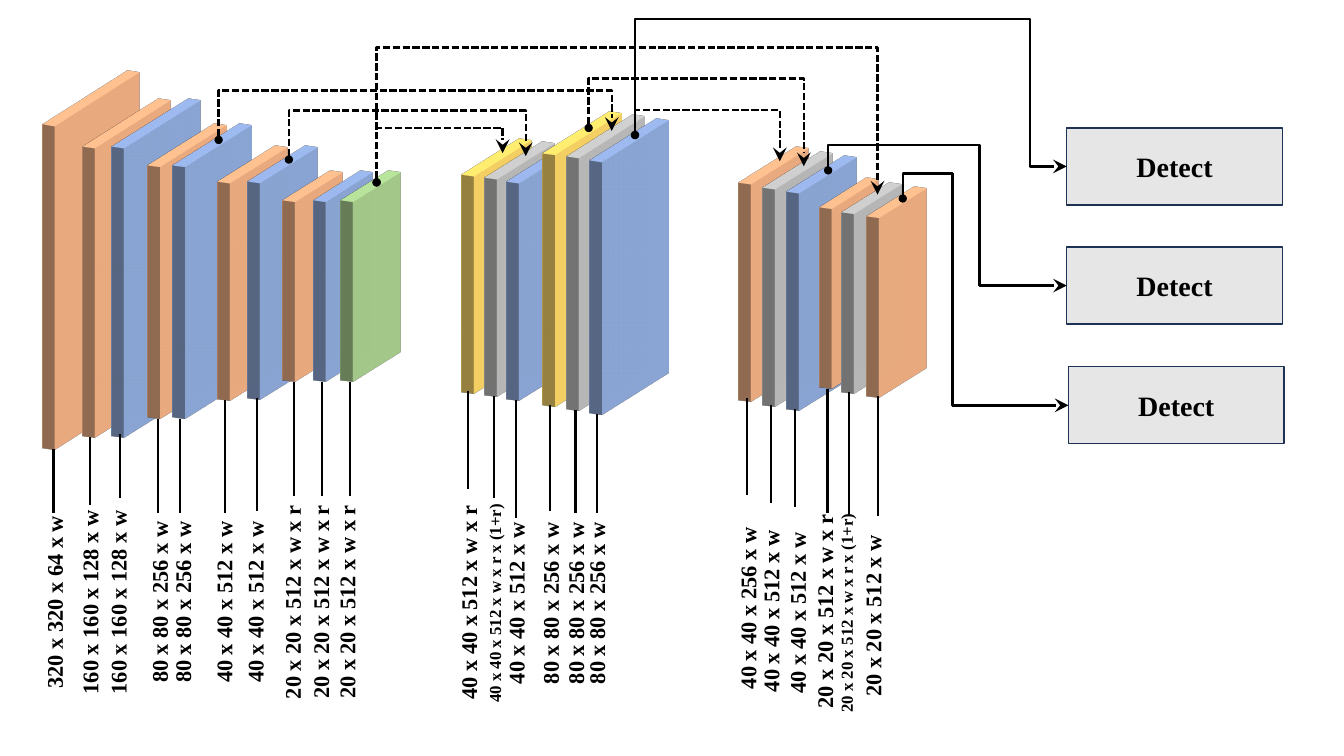
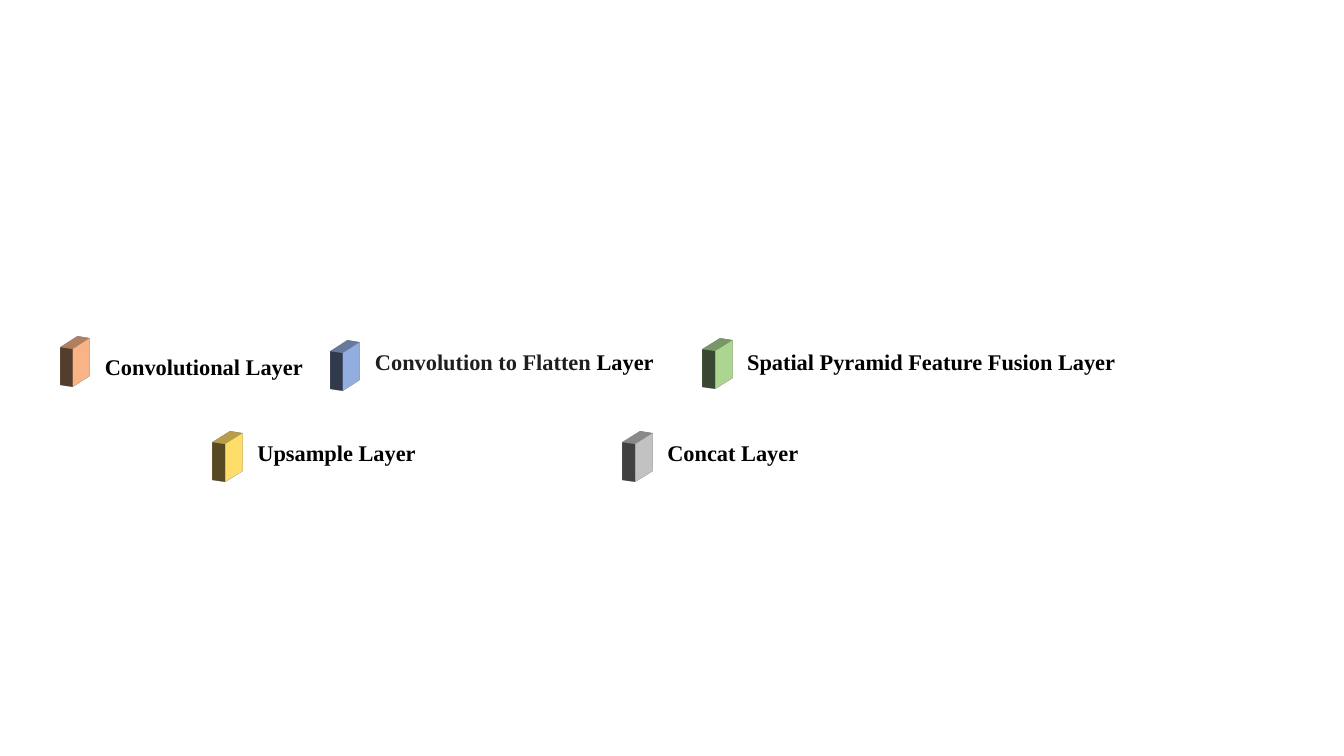
from lxml import etree
from pptx import Presentation
from pptx.dml.color import RGBColor
from pptx.enum import dml, shapes, text
from pptx.oxml.ns import qn
from pptx.util import Pt

FONT = "Times New Roman"
BLACK = "000000"
COLOURS = {"conv": "F4B183", "flatten": "8FAADC", "pyramid": "A9D18E",
           "upsample": "FFD966", "concat": "BFBFBF"}
ASPECT = 1.75  # height to width of a layer
DEPTH = 10
TOP, LEFT = 0, 1  # connection sites of a rectangle

# kind, width, centre x, top, (lead x, from y, to y), (label x, y), label
LAYERS = [
    ("conv", 139, 69.5, 64.8, (38.2, 321, 366.5), (38.5, 430.2), "320 x 320 x 64 x w"),
    ("conv", 124, 95, 83.5, (64.1, 312, 361), (63.8, 430.2), "160 x 160 x 128 x w"),
    ("flatten", 124, 116, 83.5, (85.7, 310, 356), (84, 430.2), "160 x 160 x 128 x w"),
    ("conv", 108, 138.2, 100, (113, 299.5, 366.5), (113.5, 430.2), "80 x 80 x 256 x w"),
    ("flatten", 108, 156.2, 100, (128.9, 299.5, 366.5), (130.2, 430.2), "80 x 80 x 256 x w"),
    ("conv", 93, 184.7, 114.5, (160.6, 286, 366.5), (159.6, 430.2), "40 x 40 x 512 x w"),
    ("flatten", 93, 206.3, 114, (183.6, 284.4, 365), (182, 430.2), "40 x 40 x 512 x w"),
    ("conv", 77, 228, 130.3, (210.2, 273, 354), (208.5, 430.2), "20 x 20 x 512 x w x r"),
    ("flatten", 77, 249.5, 130.3, (229.7, 273, 354), (228.7, 430), "20 x 20 x 512 x w x r"),
    ("pyramid", 77, 269, 130.3, (249.8, 273, 354), (247.4, 430), "20 x 20 x 512 x w x r"),
    ("upsample", 93, 359, 109.4, (334.5, 279.4, 349), (334.5, 430.5), "40 x 40 x 512 x w x r"),
    ("concat", 93, 375.5, 111.6, (353, 283, 356), (353.2, 431), "40 x 40 x 512 x w x r x (1+r)"),
    ("flatten", 93, 391.3, 114.5, (368.3, 286, 370), (368.3, 431), "40 x 40 x 512 x w"),
    ("upsample", 108, 420.5, 91.4, (393.1, 289.4, 365), (392.8, 431), "80 x 80 x 256 x w"),
    ("concat", 108, 437, 93.6, (411.1, 293, 366.5), (410.8, 431), "80 x 80 x 256 x w"),
    ("flatten", 108, 453.6, 96.5, (426.2, 296, 366.5), (425.9, 431), "80 x 80 x 256 x w"),
    ("conv", 93, 557, 115.2, (533.5, 284.4, 353.5), (533.9, 434.5), "40 x 40 x 256 x w"),
    ("concat", 93, 574.2, 118.8, (550.8, 289.4, 359.3), (550.4, 436.7), "40 x 40 x 512 x w"),
    ("flatten", 93, 591.5, 121.7, (568.1, 292.3, 362), (569.2, 438), "40 x 40 x 512 x w"),
    ("conv", 77, 611, 135.4, (591.1, 278, 366.5), (588.7, 436.7), "20 x 20 x 512 x w x r"),
    ("concat", 77, 626.8, 139, (606.2, 280, 368.6), (604.4, 438), "20 x 20 x 512 x w x r x (1+r)"),
    ("conv", 77, 644.8, 141.8, (627.1, 283, 368.6), (623.2, 438), "20 x 20 x 512 x w "),
]
# from layer, height of the route, to layer
SKIPS = [(9, 91.4, 10), (6, 79.2, 11), (4, 64.8, 14),
         (15, 78.5, 16), (13, 56, 17), (9, 33.8, 20)]
# from layer, height of the route, x of the turn, box left, box top
DETECTORS = [(15, 13.7, 735.8, 762, 91.4), (18, 103.7, 699.8, 762, 176.5),
             (21, 123.8, 680.4, 763.2, 262)]
BOX_WIDTH, BOX_HEIGHT = 154, 55

# kind, left, top, text top, text width, coloured runs
LEGEND_SIZE = 28
LEGEND = [
    ("conv", 44, 244.8, 249, 209, [("Convolutional Layer", BLACK)]),
    ("flatten", 237, 247.7, 244.8, 230, [("Convolution to Flatten ", "1F1F1F"), ("Layer", BLACK)]),
    ("pyramid", 502.8, 246.3, 244.8, 288, [("Spatial Pyramid Feature Fusion Layer", BLACK)]),
    ("upsample", 153, 312.5, 309.8, 176, [("Upsample Layer", BLACK)]),
    ("concat", 445.8, 312.5, 309.8, 176, [("Concat Layer", BLACK)]),
]


def rgb(colour):
    return RGBColor.from_string(colour)


def set_line(shape, colour, width):
    shape.line.color.rgb = rgb(colour)
    shape.line.width = Pt(width)


def set_font(paragraph, size):
    paragraph.font.name = FONT
    paragraph.font.size = Pt(size)
    paragraph.font.bold = True
    paragraph.font.color.rgb = rgb(BLACK)


def add_rectangle(slide, left, top, width, height, colour):
    shape = slide.shapes.add_shape(shapes.MSO_SHAPE.RECTANGLE, Pt(left), Pt(top), Pt(width), Pt(height))
    shape.shadow.inherit = False
    shape.fill.solid()
    shape.fill.fore_color.rgb = rgb(colour)
    return shape


def add_slab(slide, kind, left, top, width, height, light):
    """Add a rectangle extruded into a plate seen from the left."""
    slab = add_rectangle(slide, left, top, width, height, COLOURS[kind])
    slab.line.fill.background()
    properties = slab._element.spPr
    scene = etree.SubElement(properties, qn("a:scene3d"))
    etree.SubElement(scene, qn("a:camera"), prst="isometricOffAxis2Right")
    etree.SubElement(scene, qn("a:lightRig"), rig=light, dir="t")
    etree.SubElement(properties, qn("a:sp3d"), extrusionH=str(Pt(DEPTH)))
    return slab


def add_lead(slide, x, start, end):
    lead = slide.shapes.add_connector(shapes.MSO_CONNECTOR.STRAIGHT, Pt(x), Pt(start), Pt(x), Pt(end))
    set_line(lead, BLACK, 1.5)
    etree.SubElement(lead._element.spPr, qn("a:effectLst"))


def add_size_label(slide, x, y, label):
    width, height = 11, 162
    box = slide.shapes.add_textbox(Pt(x - width / 2), Pt(y - height / 2), Pt(width), Pt(height))
    frame = box.text_frame
    frame.word_wrap = True
    frame.margin_left = frame.margin_right = frame.margin_top = frame.margin_bottom = 0
    frame.vertical_anchor = text.MSO_ANCHOR.MIDDLE
    frame._txBody.bodyPr.set("vert", "vert270")
    paragraph = frame.paragraphs[0]
    paragraph.text = label
    paragraph.alignment = text.PP_ALIGN.CENTER
    set_font(paragraph, 12 if "(1+r)" in label else 16)


def add_route(slide, source, target, site, start, end, peak, turn=None):
    """Leave the source upwards, run level at the peak, come down to the target."""
    (x1, y1), (x2, y2) = start, end
    run, drop = x2 - x1, y2 - y1
    route = slide.shapes.add_connector(shapes.MSO_CONNECTOR.ELBOW, Pt(x1), Pt(y1), Pt(x2), Pt(y2))
    route.begin_connect(source, TOP)
    route.end_connect(target, site)

    # The elbow is stored lying on its side, turned about its middle
    route.left, route.top = Pt((x1 + x2 - abs(drop)) / 2), Pt((y1 + y2 - run) / 2)
    route.width, route.height = Pt(abs(drop)), Pt(run)
    properties = route._element.spPr
    transform = properties.find(qn("a:xfrm"))
    transform.set("rot", str((90 if drop < 0 else 270) * 60000))
    transform.set("flipH", "1")
    transform.set("flipV", "1" if drop < 0 else "0")

    # Bends, as shares of the distance covered
    bends = [(peak - y1) / drop]
    if turn is not None:
        bends.append((turn - x1) / run)
    geometry = properties.find(qn("a:prstGeom"))
    geometry.set("prst", f"bentConnector{len(bends) + 2}")
    for old in list(geometry):
        geometry.remove(old)
    adjustments = etree.SubElement(geometry, qn("a:avLst"))
    for number, bend in enumerate(bends, 1):
        etree.SubElement(adjustments, qn("a:gd"), name=f"adj{number}", fmla=f"val {round(bend * 100000)}")

    # Line and ends
    set_line(route, BLACK, 1.75)
    if turn is None:
        route.line.dash_style = dml.MSO_LINE.SQUARE_DOT
    line = properties.find(qn("a:ln"))
    etree.SubElement(line, qn("a:headEnd"), type="oval")
    etree.SubElement(line, qn("a:tailEnd"), type="stealth", w="lg", len="lg")
    etree.SubElement(properties, qn("a:effectLst"))


def add_detector(slide, left, top):
    box = add_rectangle(slide, left, top, BOX_WIDTH, BOX_HEIGHT, "E7E6E6")
    set_line(box, "1E3256", 1)
    box.text_frame.vertical_anchor = text.MSO_ANCHOR.MIDDLE
    paragraph = box.text_frame.paragraphs[0]
    paragraph.text = "Detect"
    paragraph.alignment = text.PP_ALIGN.CENTER
    set_font(paragraph, 20)
    return box


def build_network(slide):
    # Layers
    slabs = [add_slab(slide, kind, x - width / 2, top, width, width * ASPECT, "balanced")
             for kind, width, x, top, *_ in LAYERS]
    for *_, lead, label_at, label in LAYERS:
        add_lead(slide, *lead)
        add_size_label(slide, *label_at, label)

    # Skip connections between layers
    anchors = [(layer[2], layer[3]) for layer in LAYERS]
    for source, peak, target in SKIPS:
        add_route(slide, slabs[source], slabs[target], TOP, anchors[source], anchors[target], peak)

    # Detection heads
    for source, peak, turn, left, top in DETECTORS:
        box = add_detector(slide, left, top)
        add_route(slide, slabs[source], box, LEFT, anchors[source],
                  (left, top + BOX_HEIGHT / 2), peak, turn)


def build_legend(slide):
    for kind, left, top, text_top, width, runs in LEGEND:
        add_slab(slide, kind, left, top, LEGEND_SIZE, LEGEND_SIZE, "threePt")
        box = slide.shapes.add_textbox(Pt(left + 23.8), Pt(text_top), Pt(width), Pt(26.6))
        box.text_frame.word_wrap = True
        paragraph = box.text_frame.paragraphs[0]
        set_font(paragraph, 16)
        for words, colour in runs:
            run = paragraph.add_run()
            run.text = words
            run.font.color.rgb = rgb(colour)


def main():
    presentation = Presentation()
    presentation.slide_width, presentation.slide_height = Pt(960), Pt(540)
    blank = presentation.slide_layouts[6]
    for build in (build_network, build_legend):
        build(presentation.slides.add_slide(blank))
    presentation.save("out.pptx")


if __name__ == "__main__":
    main()
